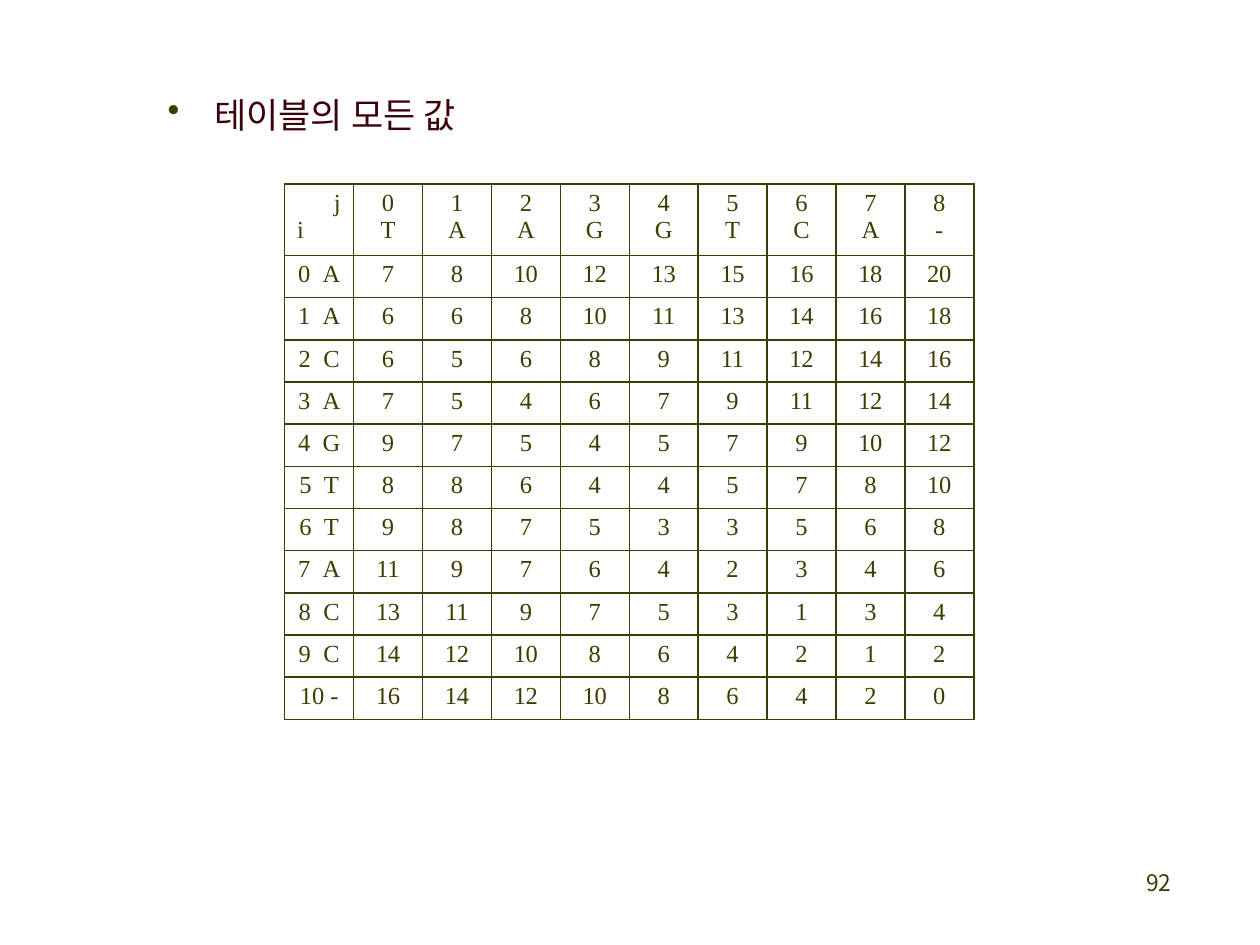
from dataclasses import dataclass
from typing import Any

from lxml import etree
from pptx import Presentation, util as u
from pptx.dml import color
from pptx.enum import text
from pptx.oxml import ns


@dataclass(frozen=True)
class Theme:
    ink: str = "3E3D00"
    heading: str = "3D010C"
    sans: str = "Noto Sans CJK KR"
    serif: str = "Times New Roman"
    heading_size: int = 20
    table_size: int = 14
    number_size: int = 13
    border: int = 1


@dataclass(frozen=True)
class Style:
    font: str
    size: int
    color: str


@dataclass(frozen=True)
class Piece:
    text: str
    spacing: float = 0


@dataclass(frozen=True)
class Box:
    left: float
    top: float
    width: float
    height: float


@dataclass(frozen=True)
class ScoreRow:
    letter: str
    scores: tuple[int, ...]


THEME = Theme()
HEADING = Style(THEME.sans, THEME.heading_size, THEME.heading)
NUMBER = Style(THEME.sans, THEME.number_size, THEME.ink)
TABLE = Style(THEME.serif, THEME.table_size, THEME.ink)

COLUMN_LETTERS = "TAAGGTCA-"
SCORE_ROWS = (
    ScoreRow("A", (7, 8, 10, 12, 13, 15, 16, 18, 20)),
    ScoreRow("A", (6, 6, 8, 10, 11, 13, 14, 16, 18)),
    ScoreRow("C", (6, 5, 6, 8, 9, 11, 12, 14, 16)),
    ScoreRow("A", (7, 5, 4, 6, 7, 9, 11, 12, 14)),
    ScoreRow("G", (9, 7, 5, 4, 5, 7, 9, 10, 12)),
    ScoreRow("T", (8, 8, 6, 4, 4, 5, 7, 8, 10)),
    ScoreRow("T", (9, 8, 7, 5, 3, 3, 5, 6, 8)),
    ScoreRow("A", (11, 9, 7, 6, 4, 2, 3, 4, 6)),
    ScoreRow("C", (13, 11, 9, 7, 5, 3, 1, 3, 4)),
    ScoreRow("C", (14, 12, 10, 8, 6, 4, 2, 1, 2)),
    ScoreRow("-", (16, 14, 12, 10, 8, 6, 4, 2, 0)),
)
COLUMN_WIDTH = 1.39
HEADER_HEIGHT = 1.44
ROW_HEIGHT = 0.85
TABLE_LEFT, TABLE_TOP = 5.74, 3.71


def apply(target: Any, values: dict[str, Any]) -> None:
    for name, value in values.items():
        setattr(target, name, value)


def element(parent: Any, tag: str, **attributes: str) -> Any:
    return etree.SubElement(parent, ns.qn(tag), attributes)


def add_pieces(paragraph: Any, pieces: list[Piece], style: Style) -> None:
    for piece in pieces:
        run = paragraph.add_run()
        run.text = piece.text
        apply(run.font, {"name": style.font, "size": u.Pt(style.size)})
        run.font.color.rgb = color.RGBColor.from_string(style.color)
        properties = run._r.get_or_add_rPr()
        properties.set("spc", str(round(piece.spacing * 100)))
        element(properties, "a:ea", typeface=style.font)


def add_text(slide: Any, box: Box, pieces: list[Piece], style: Style) -> Any:
    lengths = map(u.Cm, (box.left, box.top, box.width, box.height))
    frame = slide.shapes.add_textbox(*lengths).text_frame
    apply(frame, {
        "word_wrap": True,
        "auto_size": text.MSO_AUTO_SIZE.SHAPE_TO_FIT_TEXT,
        "margin_left": 0,
        "margin_top": u.Cm(0.03),
        "margin_right": 0,
        "margin_bottom": 0,
    })
    paragraph = frame.paragraphs[0]
    add_pieces(paragraph, pieces, style)
    return paragraph


def add_bullet(paragraph: Any, indent: float, hanging: float) -> None:
    properties = paragraph._p.get_or_add_pPr()
    properties.set("marL", str(u.Cm(indent)))
    properties.set("indent", str(-u.Cm(hanging)))
    element(element(properties, "a:buClr"), "a:srgbClr", val=THEME.ink)
    element(properties, "a:buChar", char="•")
    tabs = element(properties, "a:tabLst")
    element(tabs, "a:tab", pos=str(u.Cm(indent)), algn="l")


def format_cell(cell: Any) -> None:
    apply(cell, {
        "margin_left": 0,
        "margin_top": u.Cm(0.11),
        "margin_right": 0,
        "margin_bottom": 0,
    })
    properties = cell._tc.get_or_add_tcPr()
    for side in ("a:lnL", "a:lnR", "a:lnT", "a:lnB"):
        line = element(properties, side, w=str(u.Pt(THEME.border)))
        element(element(line, "a:solidFill"), "a:srgbClr", val=THEME.ink)
    cell.fill.background()


def fill_cell(cell: Any, lines: list[list[Piece]]) -> None:
    format_cell(cell)
    frame = cell.text_frame
    for index, pieces in enumerate(lines):
        paragraph = frame.add_paragraph() if index else frame.paragraphs[0]
        paragraph.alignment = text.PP_ALIGN.CENTER
        add_pieces(paragraph, pieces, TABLE)


def single(value: Any) -> list[Piece]:
    label = str(value)
    return [Piece(label, -0.2 if len(label) > 1 else -0.5)]


def row_label(index: int, letter: str) -> list[Piece]:
    return [Piece(f"{index} ", 1.75 if index < 10 else 0), Piece(letter, -0.5)]


def add_score_table(slide: Any) -> None:
    rows, columns = len(SCORE_ROWS) + 1, len(COLUMN_LETTERS) + 1
    height = HEADER_HEIGHT + ROW_HEIGHT * len(SCORE_ROWS)
    table = slide.shapes.add_table(
        rows, columns, u.Cm(TABLE_LEFT), u.Cm(TABLE_TOP),
        u.Cm(COLUMN_WIDTH * columns), u.Cm(height)).table
    apply(table, {"first_row": False, "horz_banding": False})
    for column in table.columns:
        column.width = u.Cm(COLUMN_WIDTH)
    for index, row in enumerate(table.rows):
        row.height = u.Cm(ROW_HEIGHT if index else HEADER_HEIGHT)

    corner = table.cell(0, 0)
    fill_cell(corner, [single("j"), single("i")])
    for paragraph, indent in zip(corner.text_frame.paragraphs, (0.99, 0.25)):
        paragraph.alignment = text.PP_ALIGN.LEFT
        paragraph._p.get_or_add_pPr().set("marL", str(u.Cm(indent)))

    for index, letter in enumerate(COLUMN_LETTERS):
        fill_cell(table.cell(0, index + 1), [single(index), single(letter)])
    for index, row in enumerate(SCORE_ROWS):
        fill_cell(table.cell(index + 1, 0), [row_label(index, row.letter)])
        for column, score in enumerate(row.scores, 1):
            fill_cell(table.cell(index + 1, column), [single(score)])


def main() -> None:
    presentation = Presentation()
    apply(presentation, {"slide_width": u.Cm(25.4), "slide_height": u.Cm(19.05)})
    slide = presentation.slides.add_slide(presentation.slide_layouts[6])
    add_text(slide, Box(23.11, 17.48, 0.58, 0.61), [Piece("92", -0.2)], NUMBER)
    add_score_table(slide)
    heading = add_text(slide, Box(3.33, 1.85, 6.32, 0.91),
                       [Piece("테이블의 모든 "), Piece("값", -0.5)], HEADING)
    add_bullet(heading, 0.99, 0.94)
    presentation.save("out.pptx")


if __name__ == "__main__":
    main()
